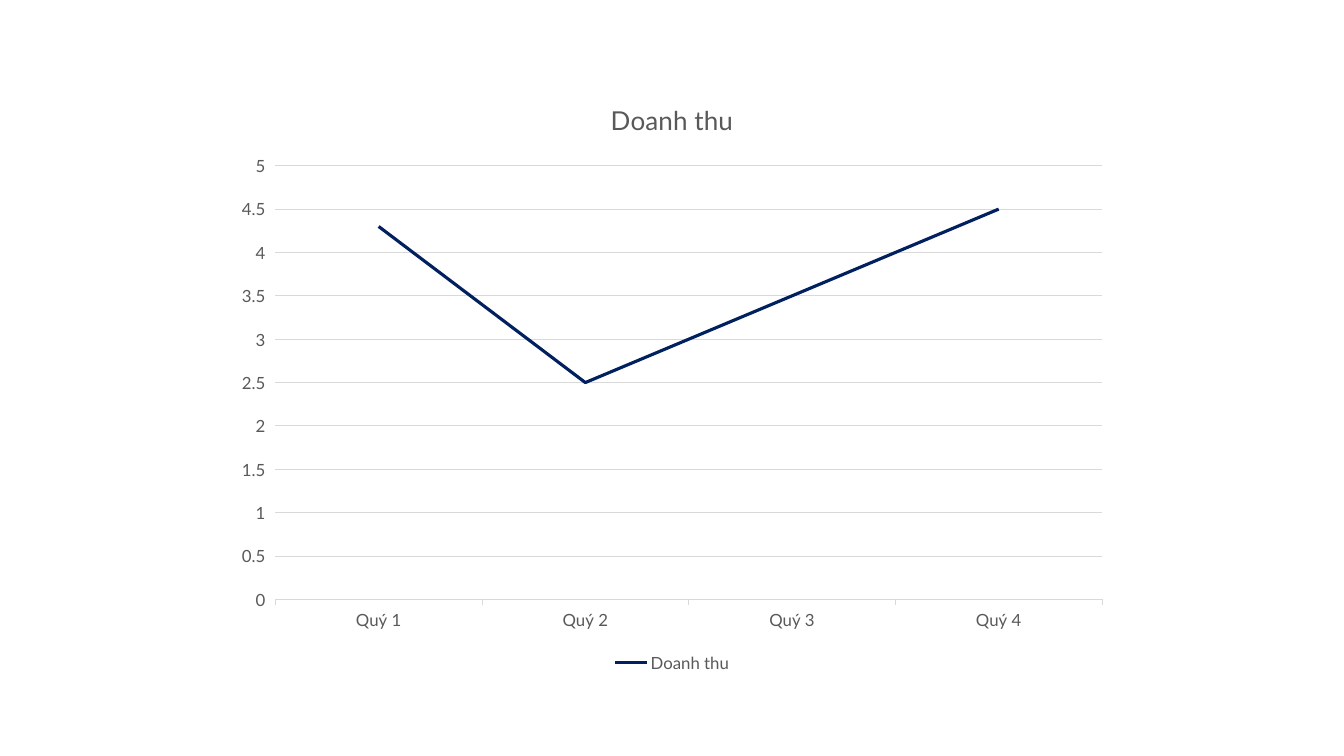
"""Build a slide with a line chart of quarterly revenue."""
from pptx import Presentation
from pptx.chart.data import CategoryChartData
from pptx.dml.color import RGBColor
from pptx.enum.chart import XL_CHART_TYPE as ChartType
from pptx.enum.chart import XL_LEGEND_POSITION as LegendPosition
from pptx.enum.chart import XL_MARKER_STYLE as MarkerStyle
from pptx.enum.chart import XL_TICK_MARK as TickMark
from pptx.util import Inches, Pt

REVENUE_NAME = "Doanh thu"
REVENUE = {"Quý 1": 4.3, "Quý 2": 2.5, "Quý 3": 3.5, "Quý 4": 4.5}

FONT_NAME = "Lato"
NAVY = RGBColor(0x00, 0x20, 0x60)
TEXT_GRAY = RGBColor(0x59, 0x59, 0x59)
GRID_GRAY = RGBColor(0xD9, 0xD9, 0xD9)

SLIDE_WIDTH, SLIDE_HEIGHT = Inches(13.33), Inches(7.5)
CHART_WIDTH_SHARE, CHART_HEIGHT_SHARE = 2 / 3, 0.79


def format_font(font, size=12):
    font.name = FONT_NAME
    font.size = Pt(size)
    font.bold = False
    font.color.rgb = TEXT_GRAY


def format_line(line, color=GRID_GRAY, width=0.75):
    line.color.rgb = color
    line.width = Pt(width)


def add_title(chart, text, **font_format):
    chart.has_title = True
    paragraph = chart.chart_title.text_frame.paragraphs[0]
    run = paragraph.add_run()
    run.text = text
    format_font(run.font, **font_format)
    chart.chart_title.include_in_layout = False


def format_axes(chart):
    category_axis, value_axis = chart.category_axis, chart.value_axis
    for axis in (category_axis, value_axis):
        axis.major_tick_mark = TickMark.OUTSIDE
        axis.minor_tick_mark = TickMark.NONE
        format_font(axis.tick_labels.font)
    category_axis.has_major_gridlines = False
    format_line(category_axis.format.line)
    value_axis.minimum_scale, value_axis.maximum_scale = 0, 5
    value_axis.major_unit = 0.5
    value_axis.has_major_gridlines = True
    format_line(value_axis.major_gridlines.format.line)
    value_axis.format.line.fill.background()


def add_revenue_chart(slide):
    data = CategoryChartData()
    data.categories = list(REVENUE)
    data.add_series(REVENUE_NAME, list(REVENUE.values()))
    width = int(SLIDE_WIDTH * CHART_WIDTH_SHARE)
    height = int(SLIDE_HEIGHT * CHART_HEIGHT_SHARE)
    left, top = (SLIDE_WIDTH - width) // 2, (SLIDE_HEIGHT - height) // 2
    chart = slide.shapes.add_chart(
        ChartType.LINE, left, top, width, height, data).chart
    format_font(chart.font)
    add_title(chart, REVENUE_NAME, size=18.6)
    format_axes(chart)
    chart.has_legend = True
    chart.legend.position = LegendPosition.BOTTOM
    chart.legend.include_in_layout = False
    format_font(chart.legend.font)
    plot = chart.plots[0]
    plot.vary_by_categories = False
    series = plot.series[0]
    series.smooth = False
    series.marker.style = MarkerStyle.NONE
    format_line(series.format.line, color=NAVY, width=2.25)


def main():
    presentation = Presentation()
    presentation.slide_width = SLIDE_WIDTH
    presentation.slide_height = SLIDE_HEIGHT
    slide = presentation.slides.add_slide(presentation.slide_layouts[6])
    add_revenue_chart(slide)
    presentation.save("out.pptx")


if __name__ == "__main__":
    main()
